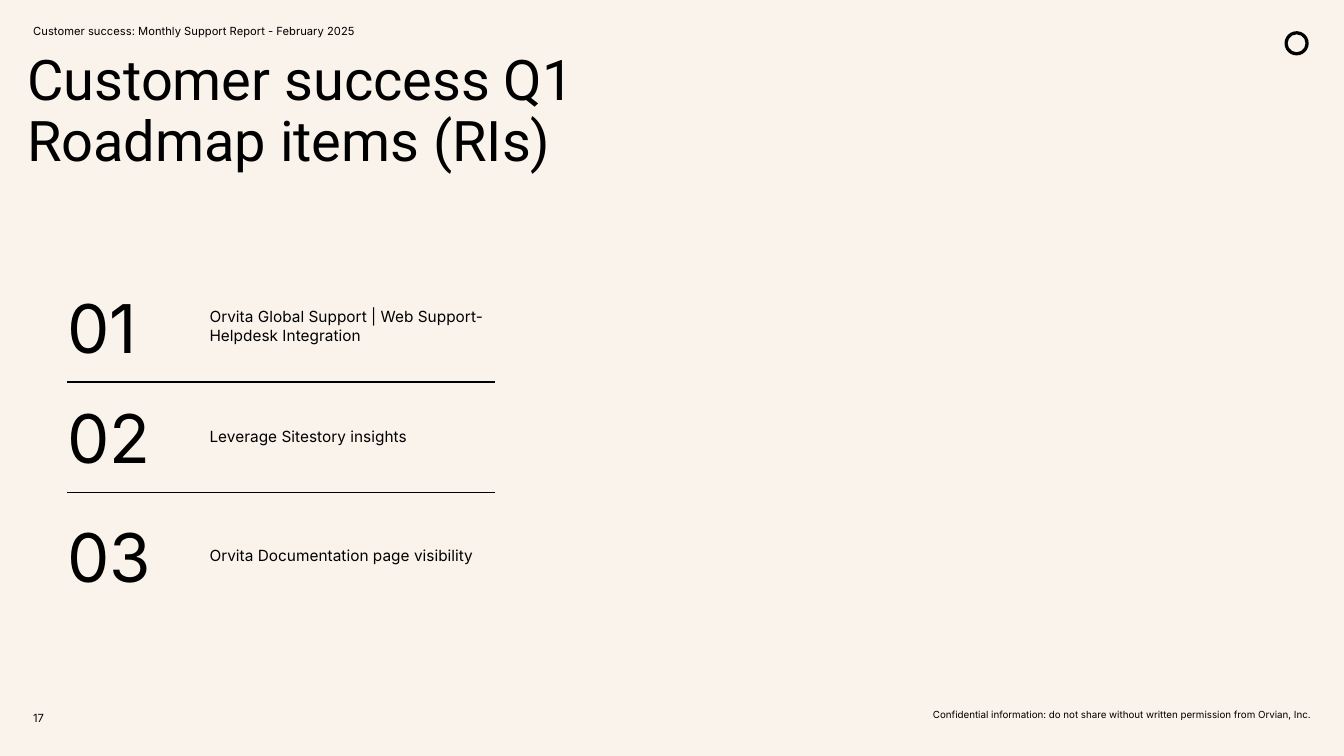
import pptx
import pptx.util
import pptx.dml.color
import pptx.enum.shapes
import pptx.enum.text
import pptx.oxml.ns
from lxml import etree

Inches = pptx.util.Inches
ANCHOR = pptx.enum.text.MSO_ANCHOR
ALIGN = pptx.enum.text.PP_ALIGN

# Content
BACKGROUND, INK = "FAF3EB", "000000"
HEADER = "Customer success: Monthly Support Report - February 2025"
TITLE = "Customer success Q1 Roadmap items (RIs)"
PAGE_NUMBER = "17"
FOOTER = "Confidential information: do not share without written permission from Orvian, Inc."
ROADMAP_ITEMS = [  # top, label
    (2.86, "Orvita Global Support | Web Support- Helpdesk Integration"),
    (3.95, "Leverage Sitestory insights"),
    (5.13, "Orvita Documentation page visibility"),
]
RULE_TOPS = [3.79, 4.89]

# Roadmap list layout
NUMBER_LEFT, NUMBER_WIDTH = 0.67, 1.32
LABEL_LEFT, LABEL_WIDTH = 2.08, 2.83
ROW_HEIGHT = 0.77
LABEL_RISE = 0.01


def color(value):
    return pptx.dml.color.RGBColor.from_string(value)


def add_text(slide, box, text, size, font="Inter", anchor=ANCHOR.MIDDLE,
             align=ALIGN.LEFT, line_spacing=None):
    shape = slide.shapes.add_textbox(*map(Inches, box))
    frame = shape.text_frame
    frame.word_wrap = True
    frame.vertical_anchor = anchor
    frame.margin_left = frame.margin_right = frame.margin_top = frame.margin_bottom = 0
    paragraph = frame.paragraphs[0]
    paragraph.alignment = align
    if line_spacing:
        paragraph.line_spacing = line_spacing
    run = paragraph.add_run()
    run.text = text
    run.font.size = pptx.util.Pt(size)
    run.font.name = font
    run.font.color.rgb = color(INK)


def add_rule(slide, left, right, top):
    rule = slide.shapes.add_connector(
        pptx.enum.shapes.MSO_CONNECTOR.STRAIGHT,
        Inches(left), Inches(top), Inches(right), Inches(top))
    rule.line.color.rgb = color(INK)
    rule.line.width = pptx.util.Pt(0.75)
    properties = rule._element.spPr
    etree.SubElement(properties, pptx.oxml.ns.qn("a:effectLst"))


def add_emblem(slide):
    ring = slide.shapes.add_shape(
        pptx.enum.shapes.MSO_SHAPE.DONUT,
        Inches(12.75), Inches(0.31), Inches(0.24), Inches(0.24))
    ring.adjustments[0] = 0.13
    ring.shadow.inherit = False
    ring.fill.solid()
    ring.fill.fore_color.rgb = color(INK)
    ring.line.fill.background()


def main():
    presentation = pptx.Presentation()
    presentation.slide_width = Inches(13.34)
    presentation.slide_height = Inches(7.5)
    slide = presentation.slides.add_slide(presentation.slide_layouts[6])
    slide.background.fill.solid()
    slide.background.fill.fore_color.rgb = color(BACKGROUND)

    # Header, title and footer
    add_emblem(slide)
    add_text(slide, (0.33, 0.19, 4.82, 0.23), HEADER, 8)
    add_text(slide, (0.27, 0.52, 6.36, 0.94), TITLE, 40, font="Roboto",
             anchor=ANCHOR.TOP, line_spacing=0.9)
    add_text(slide, (0.33, 7.01, 0.33, 0.23), PAGE_NUMBER, 8)
    add_text(slide, (7.57, 7.03, 5.44, 0.12), FOOTER, 7, align=ALIGN.RIGHT)

    # Numbered roadmap items
    for number, (top, label) in enumerate(ROADMAP_ITEMS, start=1):
        add_text(slide, (NUMBER_LEFT, top, NUMBER_WIDTH, ROW_HEIGHT), f"{number:02d}", 48)
        add_text(slide, (LABEL_LEFT, top - LABEL_RISE, LABEL_WIDTH, ROW_HEIGHT), label, 11)

    # Rules between the items
    for top in RULE_TOPS:
        add_rule(slide, NUMBER_LEFT, LABEL_LEFT + LABEL_WIDTH, top)

    presentation.save("out.pptx")


if __name__ == "__main__":
    main()
